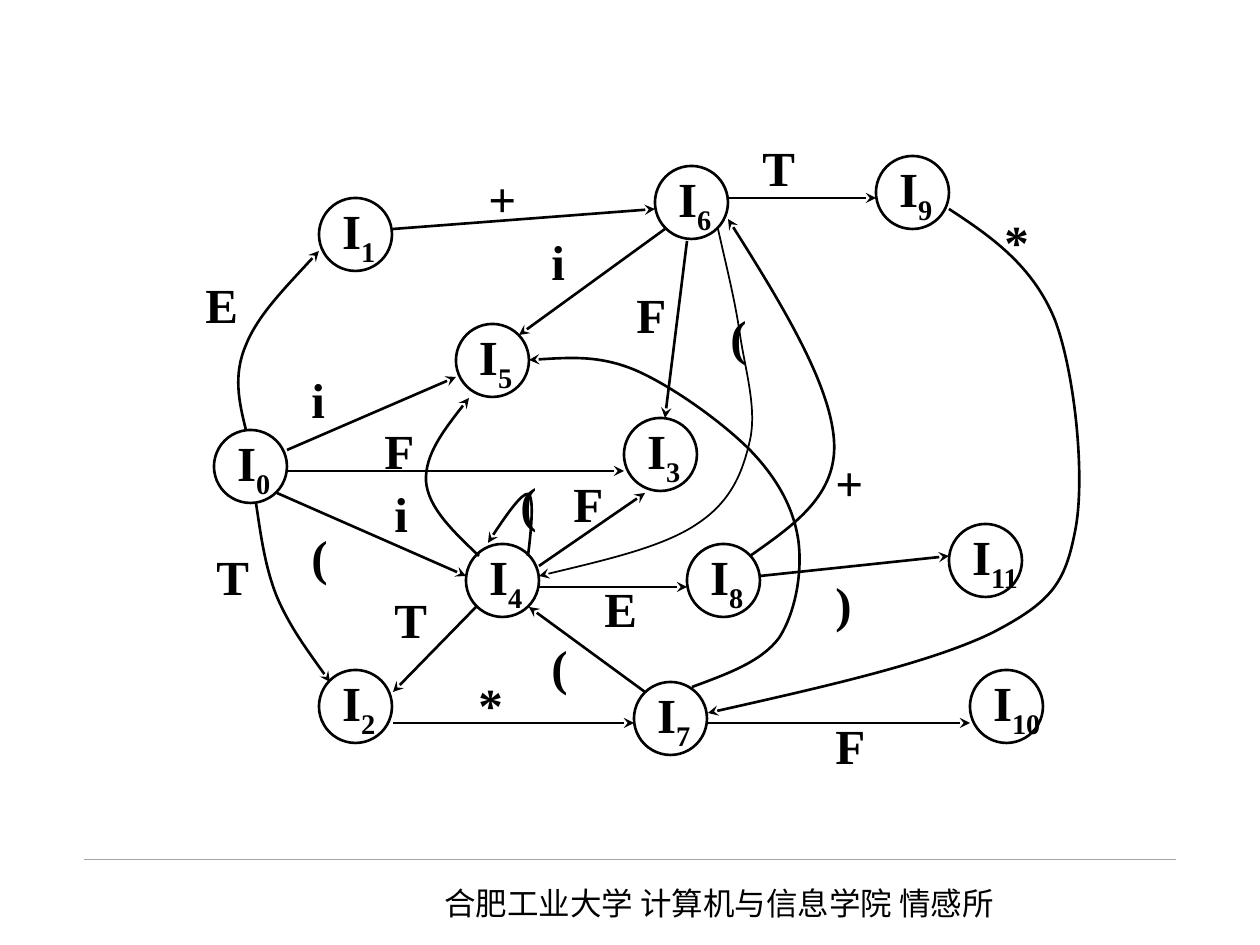
"""Build the slide with the LR automaton of item sets I0 to I11."""
import pptx
import pptx.util
import pptx.dml.color
import pptx.enum.shapes
import pptx.enum.text
import pptx.oxml.ns
from lxml import etree

THEME = {
    "ink": pptx.dml.color.RGBColor(0, 0, 0),
    "rule": pptx.dml.color.RGBColor(0xA6, 0xA6, 0xA6),
    "latin": "Times New Roman",
    "cjk": "Noto Sans CJK SC",
    "label_pt": 28,
    "footer_pt": 18,
    "line_pt": 1.5,
    "thin_pt": 1,
    "rule_pt": 0.25,
}
PX = 914400 / 126
NODE = 73
LABEL_H = 63

FOOTER = ("合肥工业大学 计算机与信息学院 情感所", 432, 878, 605, 50)
RULE = (84, 859, 1176, 859)

NODES = [
    (214, 430), (319, 198), (319, 670), (624, 418), (466, 544), (456, 324),
    (655, 166), (634, 682), (687, 544), (876, 156), (970, 670), (949, 524),
]

ARROWS = [
    (287, 450, 456, 377), (287, 471, 624, 471), (277, 493, 466, 576),
    (476, 607, 393, 692), (645, 692, 529, 607), (393, 723, 634, 723),
    (708, 723, 970, 723), (393, 229, 655, 209), (728, 198, 876, 198),
    (539, 566, 645, 493), (539, 587, 687, 587), (665, 229, 519, 335),
    (687, 241, 665, 418), (760, 576, 949, 556),
]

CURVES = [
    [(246, 430), (239, 402), (233, 375), (246, 345),
     (258, 315), (289, 284), (319, 251)],
    [(256, 503), (261, 536), (265, 567), (277, 597),
     (290, 627), (310, 654), (330, 682)],
    [(479, 556), (454, 532), (428, 508), (426, 481),
     (425, 455), (446, 427), (469, 398)],
    [(528, 556), (532, 525), (534, 496), (528, 494),
     (522, 493), (504, 518), (488, 543)],
    [(692, 687), (727, 674), (761, 662), (779, 638),
     (796, 612), (803, 570), (798, 538), (793, 507), (777, 478), (750, 450),
     (722, 422), (672, 386), (635, 370), (599, 355), (563, 358), (529, 360)],
    [(750, 556), (794, 525), (838, 495), (834, 440),
     (830, 384), (780, 301), (728, 219)],
    [(949, 209), (992, 237), (1033, 266), (1055, 320),
     (1075, 373), (1086, 479), (1075, 532), (1065, 583), (1052, 602),
     (992, 633), (930, 663), (819, 688), (708, 713)],
]
THIN_CURVE = [
    (718, 229), (726, 265), (735, 300), (740, 335),
    (745, 369), (757, 408), (750, 440), (743, 471), (732, 501), (697, 524),
    (663, 547), (601, 561), (539, 576),
]

LABELS = [
    ("E", 193, 272), ("+", 476, 166), ("T", 750, 135), ("*", 992, 209),
    ("T", 204, 544), ("T", 382, 587), ("i", 299, 367), ("F", 372, 418),
    ("(", 299, 524), ("i", 382, 481), ("(", 508, 471), ("F", 561, 471),
    ("E", 592, 576), ("(", 718, 304), ("F", 624, 282), ("i", 539, 229),
    ("+", 823, 450), ("F", 823, 713), ("*", 466, 672), ("(", 539, 634),
    (")", 823, 571),
]


def emu(*values):
    return [round(v * PX) for v in values]


def style_line(line, color, width):
    line.color.rgb = color
    line.width = pptx.util.Pt(width)


def add_run(p, text, size, font, bold=False):
    r = p.add_run()
    r.text = text
    r.font.size = pptx.util.Pt(size)
    r.font.name = font
    r.font.bold = bold
    r.font.color.rgb = THEME["ink"]
    return r


def prepare_text(sp):
    tf = sp.text_frame
    tf.word_wrap = False
    tf.vertical_anchor = pptx.enum.text.MSO_ANCHOR.MIDDLE
    p = tf.paragraphs[0]
    p.alignment = pptx.enum.text.PP_ALIGN.LEFT
    return p


def add_arrowhead(line):
    ln = line._get_or_add_ln()
    etree.SubElement(ln, pptx.oxml.ns.qn("a:tailEnd"), type="stealth")


def add_node(s, number, x, y):
    oval = pptx.enum.shapes.MSO_SHAPE.OVAL
    sp = s.shapes.add_shape(oval, *emu(x, y, NODE, NODE))
    sp.shadow.inherit = False
    sp.fill.background()
    style_line(sp.line, THEME["ink"], THEME["line_pt"])
    p = prepare_text(sp)
    add_run(p, "I", THEME["label_pt"], THEME["latin"], True)
    r = add_run(p, str(number), THEME["label_pt"], THEME["latin"], True)
    r.font._element.set("baseline", "-25000")


def add_line(s, ends, color, width):
    straight = pptx.enum.shapes.MSO_CONNECTOR.STRAIGHT
    cn = s.shapes.add_connector(straight, *emu(*ends))
    style_line(cn.line, color, width)
    etree.SubElement(cn._element.spPr, pptx.oxml.ns.qn("a:effectLst"))
    return cn


def add_curve(s, points, width):
    qn = pptx.oxml.ns.qn
    fb = s.shapes.build_freeform(*points[0], scale=PX)
    fb.add_line_segments(points[1:], close=False)
    sp = fb.convert_to_shape()
    outline = sp._element.find(".//" + qn("a:path"))
    steps = outline.findall(qn("a:lnTo"))
    for i in range(0, len(steps), 3):
        bezier = etree.SubElement(outline, qn("a:cubicBezTo"))
        for step in steps[i:i + 3]:
            bezier.append(step[0])
            outline.remove(step)
    sp.shadow.inherit = False
    sp.fill.background()
    style_line(sp.line, THEME["ink"], width)
    add_arrowhead(sp.line)


def add_footer(s, text, *box):
    sp = s.shapes.add_textbox(*emu(*box))
    sp.text_frame.word_wrap = True
    p = sp.text_frame.paragraphs[0]
    r = add_run(p, text, THEME["footer_pt"], THEME["cjk"])
    ea = etree.SubElement(r.font._element, pptx.oxml.ns.qn("a:ea"))
    ea.set("typeface", THEME["cjk"])


def main():
    prs = pptx.Presentation()
    prs.slide_width, prs.slide_height = emu(1260, 945)
    s = prs.slides.add_slide(prs.slide_layouts[6])
    add_line(s, RULE, THEME["rule"], THEME["rule_pt"])
    add_footer(s, *FOOTER)
    for number, (x, y) in enumerate(NODES):
        add_node(s, number, x, y)
    for ends in ARROWS:
        cn = add_line(s, ends, THEME["ink"], THEME["line_pt"])
        add_arrowhead(cn.line)
    for points in CURVES:
        add_curve(s, points, THEME["line_pt"])
    add_curve(s, THIN_CURVE, THEME["thin_pt"])
    for text, x, y in LABELS:
        sp = s.shapes.add_textbox(*emu(x, y, NODE, LABEL_H))
        p = prepare_text(sp)
        add_run(p, text, THEME["label_pt"], THEME["latin"], True)
    prs.save("out.pptx")


if __name__ == "__main__":
    main()
